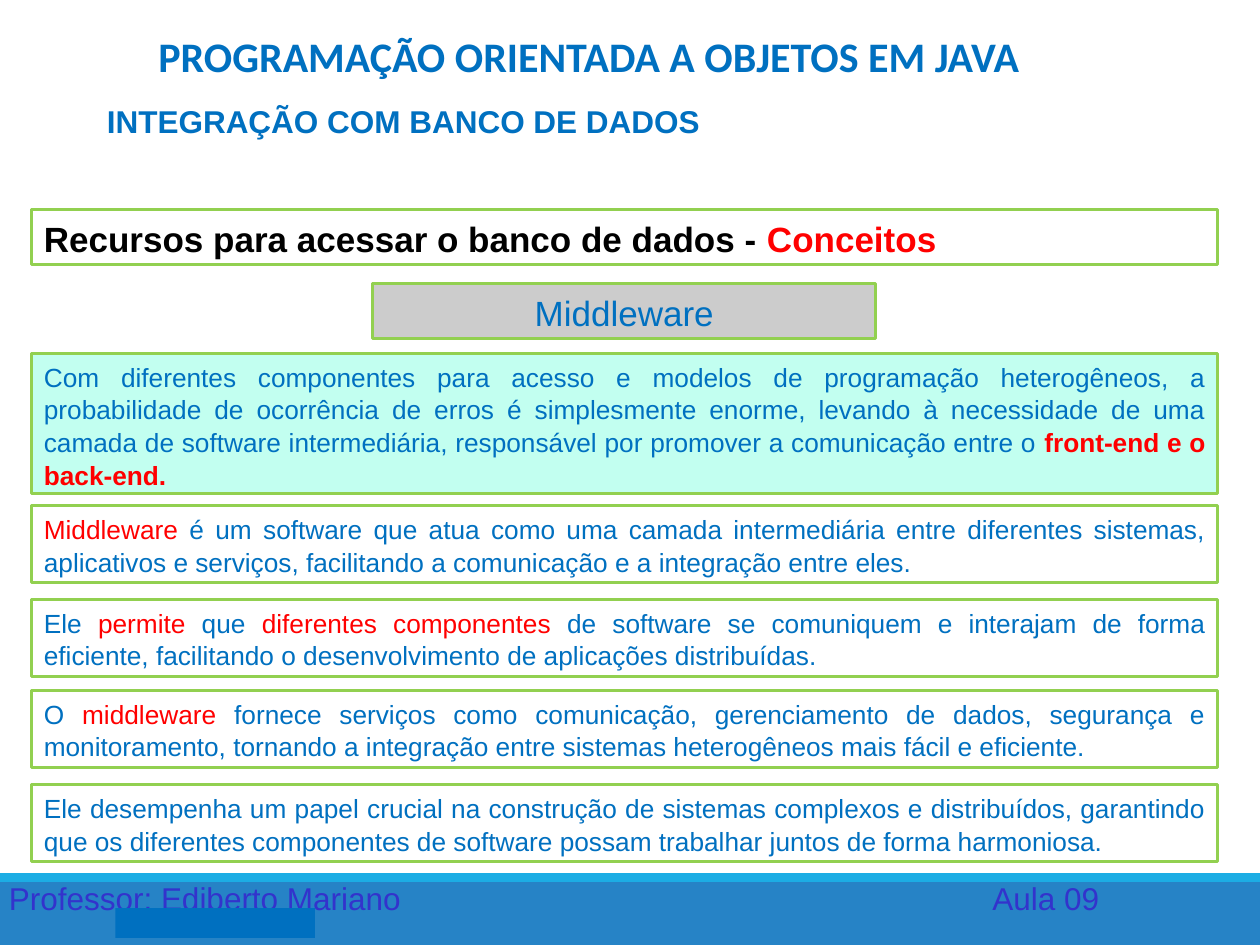
"""Build the middleware slide of a Java database integration lesson."""
from lxml.etree import SubElement
from pptx import Presentation
from pptx.dml.color import RGBColor
from pptx.enum.shapes import MSO_SHAPE as Shape
from pptx.enum.text import MSO_ANCHOR as Anchor, MSO_AUTO_SIZE as AutoSize, PP_ALIGN as Align
from pptx.oxml.ns import qn
from pptx.util import Pt

BLUE = RGBColor(0x00, 0x70, 0xC0)
RED = RGBColor(0xFF, 0x00, 0x00)
BLACK = RGBColor(0x00, 0x00, 0x00)
WHITE = RGBColor(0xFF, 0xFF, 0xFF)
GREEN = RGBColor(0x92, 0xD0, 0x50)
GRAY = RGBColor(0xCC, 0xCC, 0xCC)
MINT = RGBColor(0xC2, 0xFF, 0xF0)
BAND_BLUE = RGBColor(0x26, 0x83, 0xC6)
CYAN = RGBColor(0x1C, 0xAD, 0xE4)
INDIGO = RGBColor(0x33, 0x33, 0xCC)

deck = Presentation()
deck.slide_width, deck.slide_height = Pt(720), Pt(540)
page = deck.slides.add_slide(deck.slide_layouts[6])


def add_box(bounds, fill=None, line=None, weight=1.75):
    box = page.shapes.add_shape(Shape.RECTANGLE, *map(Pt, bounds))
    box.shadow.inherit = False
    if fill is None:
        box.fill.background()
    else:
        box.fill.solid()
        box.fill.fore_color.rgb = fill
    if line is None:
        box.line.fill.background()
    else:
        box.line.color.rgb = line
        box.line.width = Pt(weight)
    return box


def write(box, spans, size, align, anchor=Anchor.TOP, font="Arial"):
    frame = box.text_frame
    frame.word_wrap = True
    frame.vertical_anchor = anchor
    para = frame.paragraphs[0]
    para.alignment = align
    for text, color, bold in spans:
        span = para.add_run()
        span.text = text
        span.font.name = font
        span.font.size = Pt(size)
        span.font.bold = bold
        span.font.color.rgb = color
    return para


add_box((0, 499, 720, 41), BAND_BLUE)
add_box((0, 499, 720, 5), CYAN)

footer = page.shapes.add_textbox(Pt(-2), Pt(498.5), Pt(648), Pt(29))
footer_para = write(footer, [("Professor: Ediberto Mariano\tAula 09", INDIGO, False)], 18, Align.LEFT)
tabs = SubElement(footer_para._p.get_or_add_pPr(), qn("a:tabLst"))
SubElement(tabs, qn("a:tab"), pos=str(Pt(562)), algn="l")

add_box((66, 519, 114, 17), BLUE)

title = page.shapes.add_textbox(Pt(74), Pt(12), Pt(525), Pt(37.5))
write(title, [("PROGRAMAÇÃO ORIENTADA A OBJETOS EM JAVA", BLUE, True)],
      24, Align.CENTER, Anchor.BOTTOM, "Calibri")

panels = [
    ((213, 162, 287.5, 31.5), GRAY, GREEN, 20, Align.CENTER, [("Middleware", BLUE, False)]),
    ((54, 54, 378, 29.5), WHITE, WHITE, 18, Align.JUSTIFY,
     [("INTEGRAÇÃO COM BANCO DE DADOS", BLUE, True)]),
    ((18, 119.5, 678, 31.5), WHITE, GREEN, 20, Align.JUSTIFY,
     [("Recursos para acessar o banco de dados - ", BLACK, True), ("Conceitos", RED, True)]),
    ((18, 202, 678, 80), MINT, GREEN, 15, Align.JUSTIFY,
     [("Com diferentes componentes para acesso e modelos de programação heterogêneos, a "
       "probabilidade de ocorrência de erros é simplesmente enorme, levando à necessidade de uma "
       "camada de software intermediária, responsável por promover a comunicação entre o ", BLUE, False),
      ("front-end e o back-end.", RED, True)]),
]

definitions = [
    (289, [("Middleware", RED, False),
           (" é um software que atua como uma camada intermediária entre diferentes sistemas, "
            "aplicativos e serviços, facilitando a comunicação e a integração entre eles.", BLUE, False)]),
    (342.5, [("Ele ", BLUE, False), ("permite", RED, False), (" que ", BLUE, False),
             ("diferentes componentes", RED, False),
             (" de software se comuniquem e interajam de forma eficiente, facilitando o "
              "desenvolvimento de aplicações distribuídas. ", BLUE, False)]),
    (394.5, [("O ", BLUE, False), ("middleware", RED, False),
             (" fornece serviços como comunicação, gerenciamento de dados, segurança e "
              "monitoramento, tornando a integração entre sistemas heterogêneos mais fácil e "
              "eficiente.", BLUE, False)]),
    (448.5, [("Ele desempenha um papel crucial na construção de sistemas complexos e distribuídos, "
              "garantindo que os diferentes componentes de software possam trabalhar juntos de forma "
              "harmoniosa.", BLUE, False)]),
]
panels += [((18, top, 678, 44), None, GREEN, 15, Align.JUSTIFY, spans) for top, spans in definitions]

for bounds, fill, line, size, align, spans in panels:
    box = add_box(bounds, fill, line, 0.75 if line == WHITE else 1.75)
    panel_para = write(box, spans, size, align)
    panel_para.space_before = Pt(10)
    panel_para.line_spacing = 1.04
    box.text_frame.auto_size = AutoSize.SHAPE_TO_FIT_TEXT

deck.save("out.pptx")
